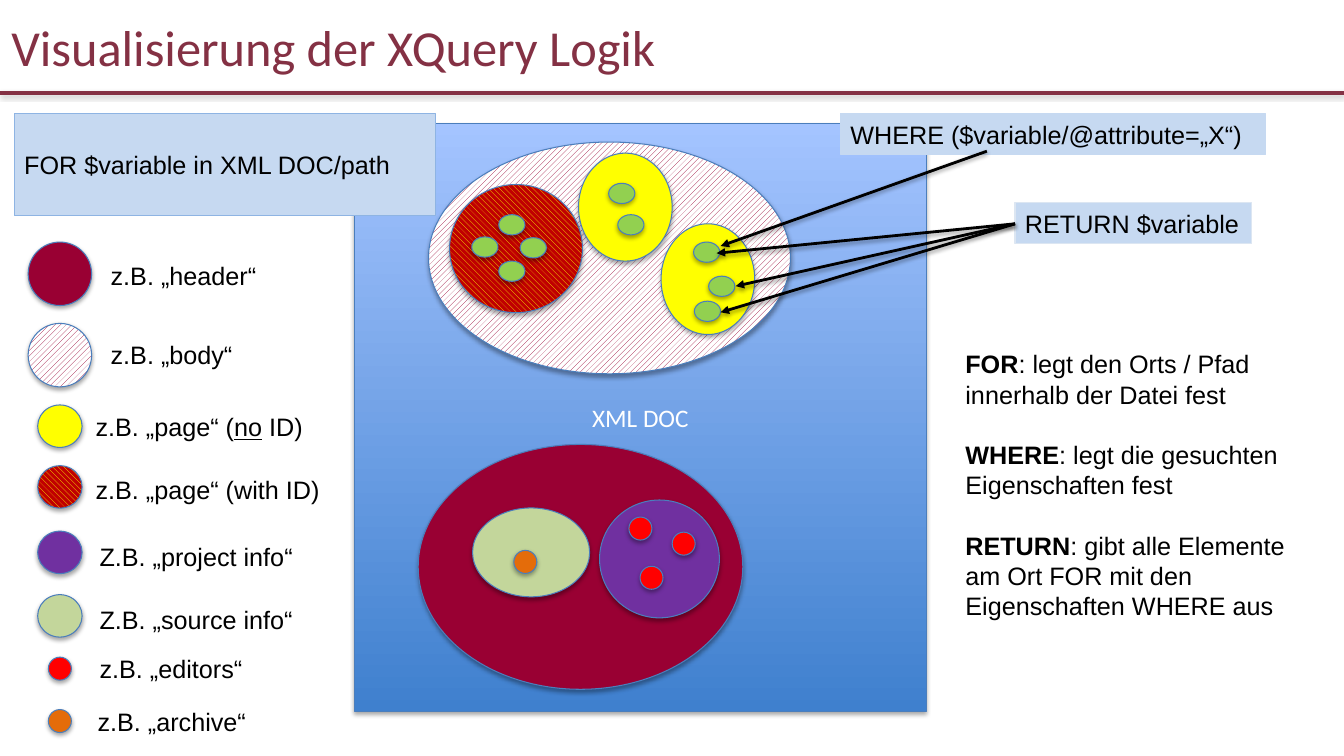
from lxml.etree import SubElement
from pptx import Presentation
from pptx.dml.color import RGBColor
from pptx.enum.dml import MSO_PATTERN as Pattern
from pptx.enum.shapes import MSO_CONNECTOR as Connector, MSO_SHAPE as Shape
from pptx.enum.text import MSO_ANCHOR as Anchor, MSO_AUTO_SIZE as AutoSize, PP_ALIGN as Align
from pptx.oxml.ns import qn
from pptx.util import Cm, Pt

BLACK = RGBColor(0x00, 0x00, 0x00)
WHITE = RGBColor(0xFF, 0xFF, 0xFF)
TITLE_RED = RGBColor(0x84, 0x31, 0x44)
OUTLINE = RGBColor(0x4B, 0x7E, 0xBC)
DOC_BOTTOM = RGBColor(0x3F, 0x80, 0xCE)
DOC_TOP = RGBColor(0xA4, 0xC4, 0xFF)
CRIMSON = RGBColor(0x99, 0x00, 0x33)
PURPLE = RGBColor(0x70, 0x30, 0xA0)
SAGE = RGBColor(0xC3, 0xD6, 0x9B)
YELLOW = RGBColor(0xFF, 0xFF, 0x00)
DARK_RED = RGBColor(0xC0, 0x00, 0x00)
RED = RGBColor(0xFF, 0x00, 0x00)
ORANGE = RGBColor(0xE4, 0x6C, 0x0A)
GREEN = RGBColor(0x92, 0xD0, 0x50)
CALLOUT = RGBColor(0xC6, 0xD9, 0xF1)
CALLOUT_EDGE = RGBColor(0x8E, 0xB4, 0xE3)
CALLOUT_LIGHT = RGBColor(0xDC, 0xE6, 0xF2)

BODY_HATCH = (Pattern.WIDE_UPWARD_DIAGONAL, CRIMSON, WHITE)
PAGE_HATCH = (Pattern.WIDE_DOWNWARD_DIAGONAL, YELLOW, DARK_RED)

TITLE = "Visualisierung der XQuery Logik"
DOC_BOX = (8.94, 3.12, 14.4, 14.81)
NODES = [
    (CRIMSON, (10.54, 11.2, 8.18, 6.17)),
    (PURPLE, (15.11, 12.6, 3.02, 2.97)),
    (SAGE, (11.91, 12.8, 2.95, 2.24)),
    (BODY_HATCH, (10.8, 3.58, 9.12, 5.84)),
    (PAGE_HATCH, (11.33, 4.65, 3.35, 3.23)),
    (YELLOW, (14.58, 3.86, 2.36, 2.72)),
    (YELLOW, (16.66, 5.64, 2.36, 2.79)),
]
SMALL, MEDIUM, LARGE, OVAL = (0.58, 0.58), (1.12, 1.07), (1.6, 1.6), (0.66, 0.51)
LEAVES = [
    (GREEN, OVAL, [(17.48, 6.1), (17.86, 6.96), (17.5, 7.59), (15.34, 4.62), (15.57, 5.41),
                   (12.57, 5.41), (13.11, 5.99), (12.57, 6.58), (11.89, 5.97)]),
    (RED, SMALL, [(15.85, 13.03), (16.94, 13.41), (16.13, 14.27)]),
    (ORANGE, SMALL, [(12.95, 13.87)]),
]
LEGEND_CENTER = 1.51
LABEL_HEIGHT = 1.02
LEGEND = [
    (CRIMSON, LARGE, 6.9, [("z.B. „header“", "")], (2.54, 6.43, 4.24), False),
    (BODY_HATCH, LARGE, 8.95, [("z.B. „body“", "")], (2.54, 8.43, 3.61), False),
    (YELLOW, MEDIUM, 10.74, [("z.B. „page“ (", ""), ("no", "u"), (" ID)", "")],
     (2.16, 10.24, 7.16), True),
    (PAGE_HATCH, MEDIUM, 12.27, [("z.B. „page“ (with ID)", "")], (2.16, 11.84, 6.22), False),
    (PURPLE, MEDIUM, 13.92, [("Z.B. „project info“", "")], (2.26, 13.51, 5.44), False),
    (SAGE, MEDIUM, 15.52, [("Z.B. „source info“", "")], (2.26, 15.11, 5.44), False),
    (RED, SMALL, 16.85, [("z.B. „editors“", "")], (2.26, 16.33, 4.17), False),
    (ORANGE, SMALL, 18.17, [("z.B. „archive“", "")], (2.21, 17.68, 4.29), False),
]
CALLOUTS = [
    ("RETURN $variable", (25.58, 5.11, 5.97, 1.02), CALLOUT_LIGHT, False),
    ("FOR $variable in XML DOC/path", (0.36, 2.87, 10.62, 2.57), CALLOUT_EDGE, True),
    ("WHERE ($variable/@attribute=„X“)", (21.18, 2.87, 10.72, 1.02), CALLOUT, True),
]
WHERE_START, RETURN_START = (24.87, 3.81), (25.58, 5.64)
ARROWS = [
    (WHERE_START, (18.16, 6.2)),
    (RETURN_START, (18.54, 7.21)),
    (RETURN_START, (18.06, 6.38)),
    (RETURN_START, (18.16, 7.87)),
]
DEFINITIONS_BOX = (24.08, 8.66, 8.59, 7.19)
DEFINITIONS = [
    [("FOR", "b"), (": legt den Orts / Pfad innerhalb der Datei fest", "")],
    [("WHERE", "b"), (": legt die gesuchten Eigenschaften fest", "")],
    [("RETURN", "b"), (": gibt alle Elemente am Ort FOR mit den Eigenschaften WHERE aus", "")],
]


def write_text(shape, paragraphs, *, size=18, font="Arial", color=BLACK, align=Align.LEFT,
               anchor=Anchor.TOP, wrap=True, fit=AutoSize.NONE, gap=0):
    frame = shape.text_frame
    frame.word_wrap = wrap
    frame.auto_size = fit
    frame.vertical_anchor = anchor
    for index, runs in enumerate(paragraphs):
        paragraph = frame.add_paragraph() if index else frame.paragraphs[0]
        paragraph.alignment = align
        paragraph.space_before = Pt(gap if index else 0)
        for text, style in runs:
            run = paragraph.add_run()
            run.text = text
            run.font.size = Pt(size)
            run.font.name = font
            run.font.color.rgb = color
            run.font.bold = style == "b"
            run.font.underline = style == "u"


def add_shadow(shape, distance, opacity):
    effects = SubElement(shape.element.spPr, qn("a:effectLst"))
    shadow = SubElement(effects, qn("a:outerShdw"), blurRad="40000", dist=str(distance),
                        dir="5400000", rotWithShape="0")
    black = SubElement(shadow, qn("a:srgbClr"), val="000000")
    SubElement(black, qn("a:alpha"), val=str(opacity * 1000))


def add_block(slide, kind, box, fill, outline=OUTLINE, shadowed=True):
    shape = slide.shapes.add_shape(kind, *map(Cm, box))
    if isinstance(fill, RGBColor):
        shape.fill.solid()
        shape.fill.fore_color.rgb = fill
    elif len(fill) == 3:
        shape.fill.patterned()
        shape.fill.pattern, shape.fill.fore_color.rgb, shape.fill.back_color.rgb = fill
    else:
        shape.fill.gradient()
        shape.fill.gradient_angle = 90
        for stop, color in zip(shape.fill.gradient_stops, fill):
            stop.color.rgb = color
    shape.line.color.rgb = outline
    shape.line.width = Pt(0.75)
    if shadowed:
        add_shadow(shape, 23000, 35)
    else:
        shape.shadow.inherit = False
    return shape


def add_line(slide, start, end, color, width, arrow=False):
    line = slide.shapes.add_connector(Connector.STRAIGHT, *map(Cm, start + end))
    line.line.color.rgb = color
    line.line.width = Pt(width)
    if arrow:
        SubElement(line.element.spPr.find(qn("a:ln")), qn("a:tailEnd"), type="triangle")
    add_shadow(line, 20000, 38)


def main():
    presentation = Presentation()
    presentation.slide_width, presentation.slide_height = Cm(33.87), Cm(19.05)
    slide = presentation.slides.add_slide(presentation.slide_layouts[5])

    add_line(slide, (0, 2.34), (33.87, 2.34), TITLE_RED, 2.5)
    title = slide.shapes.title
    title.left, title.top, title.width, title.height = map(Cm, (0.03, 0.33, 29.13, 1.7))
    write_text(title, [[(TITLE, "")]], size=36, font="Calibri", color=TITLE_RED,
               anchor=Anchor.MIDDLE)

    document = add_block(slide, Shape.RECTANGLE, DOC_BOX, (DOC_BOTTOM, DOC_TOP))
    write_text(document, [[("XML DOC", "")]], font="Calibri", color=WHITE,
               align=Align.CENTER, anchor=Anchor.MIDDLE)

    for fill, box in NODES:
        add_block(slide, Shape.OVAL, box, fill)
    for fill, size, corners in LEAVES:
        for corner in corners:
            add_block(slide, Shape.OVAL, corner + size, fill)

    for fill, (width, height), middle, runs, (left, top, label_width), wrap in LEGEND:
        box = (LEGEND_CENTER - width / 2, middle - height / 2, width, height)
        add_block(slide, Shape.OVAL, box, fill)
        label = slide.shapes.add_textbox(*map(Cm, (left, top, label_width, LABEL_HEIGHT)))
        write_text(label, [runs], wrap=wrap, fit=AutoSize.SHAPE_TO_FIT_TEXT)

    for text, box, edge, wrap in CALLOUTS:
        callout = add_block(slide, Shape.RECTANGLE, box, CALLOUT, edge, shadowed=False)
        write_text(callout, [[(text, "")]], anchor=Anchor.MIDDLE, wrap=wrap)

    for start, end in ARROWS:
        add_line(slide, start, end, BLACK, 2, arrow=True)

    definitions = slide.shapes.add_textbox(*map(Cm, DEFINITIONS_BOX))
    write_text(definitions, DEFINITIONS, gap=21.6)

    presentation.save("out.pptx")


if __name__ == "__main__":
    main()
